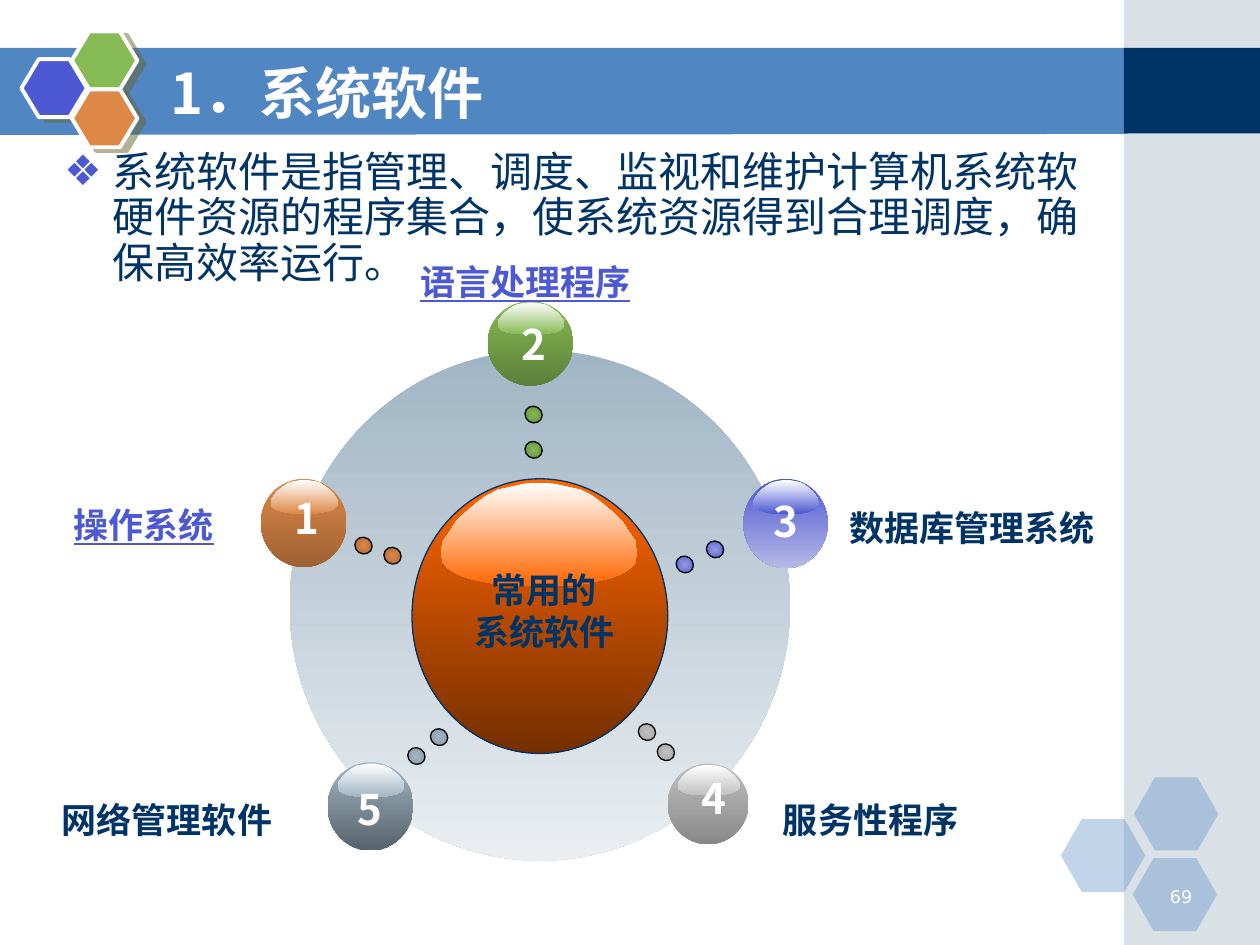
from lxml import etree
from pptx import Presentation
from pptx.dml.color import RGBColor
from pptx.enum import shapes, text
from pptx.oxml.ns import qn
from pptx.util import Inches, Pt

FONT = "Noto Sans CJK SC"
C = dict(band="5086C2", navy="003366", blue="4C59D2", green="85BA54", orange="DE8848",
         slate="A0B5C4", silver="C0C0C0", mist="EAEEF1", core="FF6600", rust="742E00",
         lilac="9599DE", olive="666633", white="FFFFFF", black="000000")

TITLE = "1．系统软件"
BODY = "系统软件是指管理、调度、监视和维护计算机系统软硬件资源的程序集合，使系统资源得到合理调度，确保高效率运行。"
CORE_LINES = ["常用的", "系统软件"]
PAGE = "69"

FADED_HEXAGONS = [(8.42, 6.5), (9, 6.17), (8.99, 6.81)]
EMBLEM = [(0.17, 0.47, "blue"), (0.57, 0.25, "green"), (0.57, 0.71, "orange")]

TOPICS = [
    dict(number="2", label="语言处理程序", label_at=(2.95, 2.02, 2.44), link=True,
         ball=(3.87, 2.39, 0.68, 0.67), number_at=(4.04, 2.48), tone="green", end="5C803A",
         dots=[(4.17, 3.22), (4.17, 3.5)], dot_tones=("85BA54", "5E843C")),
    dict(number="5", label="网络管理软件", label_at=(0.2, 6.29, 2.25), link=False,
         ball=(2.6, 6.05, 0.68, 0.7), number_at=(2.74, 6.17), tone="slate", end="57626A",
         dots=[(3.24, 5.93), (3.42, 5.78)], dot_tones=("A0B5C4", "8698A4")),
    dict(number="3", label="数据库管理系统", label_at=(6.57, 3.97, 2.29), link=False,
         ball=(5.9, 3.8, 0.67, 0.71), number_at=(6.04, 3.88), tone="blue", end="B6B8E6",
         dots=[(5.61, 4.29), (5.37, 4.41)], dot_tones=(C["lilac"], C["blue"])),
    dict(number="4", label="服务性程序", label_at=(5.97, 6.29, 1.88), link=False,
         ball=(5.3, 6.06, 0.64, 0.64), number_at=(5.47, 6.08), tone="silver", end="888888",
         dots=[(5.22, 5.9), (5.07, 5.74)], dot_tones=("C0C0C0", "A1A1A1")),
    dict(number="1", label="操作系统", label_at=(0.2, 3.95, 1.88), link=True,
         ball=(2.07, 3.8, 0.68, 0.7), number_at=(2.24, 3.86), tone="orange", end="9E6133",
         dots=[(2.82, 4.26), (3.05, 4.34)], dot_tones=("DE8848", "A26335")),
]

GLOSS_HALF = [(50, 0), (57, 1), (64, 4), (71, 7), (77, 13), (82, 20), (87, 28), (92, 37),
              (95, 46), (99, 57), (100, 68), (99, 77), (97, 82), (94, 86), (91, 89),
              (87, 92), (83, 94), (78, 96), (73, 98), (68, 99), (60, 100)]
GLOSS = GLOSS_HALF + [(100 - x, y) for x, y in GLOSS_HALF[:0:-1]]
BAND = [(0, 0), (100, 0), (100, 99), (0, 100)]

prs = Presentation()
prs.slide_width, prs.slide_height = Inches(10), Inches(7.5)
s = prs.slides.add_slide(prs.slide_layouts[1])


def rgb(hex_code):
    return RGBColor.from_string(hex_code)


def paint(sp, fill, alpha=None, line=None, width=0.75):
    sp.shadow.inherit = False
    if isinstance(fill, tuple):
        sp.fill.gradient()
        sp.fill.gradient_angle = 270
        for stop, tone in zip(sp.fill.gradient_stops, fill):
            stop.color.rgb = rgb(tone)
    else:
        sp.fill.solid()
        sp.fill.fore_color.rgb = rgb(fill)
    if alpha:
        color = sp._element.spPr.find(qn("a:solidFill"))[0]
        etree.SubElement(color, qn("a:alpha"), val=str(alpha * 1000))
    if line:
        sp.line.color.rgb = rgb(line)
        sp.line.width = Pt(width)
    else:
        sp.line.fill.background()
    return sp


def preset(kind, at, fill, **style):
    sp = s.shapes.add_shape(kind, *map(Inches, at))
    return paint(sp, fill, **style)


def outline(points, at, fill):
    left, top, width, height = map(Inches, at)
    builder = s.shapes.build_freeform(*points[0], scale=(width / 100, height / 100))
    builder.add_line_segments(points[1:], close=True)
    return paint(builder.convert_to_shape(left, top), fill)


def hexagon(at, adj, fill, **style):
    sp = preset(shapes.MSO_SHAPE.HEXAGON, at, fill, **style)
    sp.adjustments[0] = adj
    return sp


def cast_shadow(sp):
    effects = sp._element.spPr.find(qn("a:effectLst"))
    shadow = etree.SubElement(effects, qn("a:outerShdw"), blurRad="0", dist=str(Pt(4.5)),
                              dir=str(27 * 60000), algn="ctr", rotWithShape="0")
    color = etree.SubElement(shadow, qn("a:srgbClr"), val=C["olive"])
    etree.SubElement(color, qn("a:alpha"), val="50000")


def make_radial(sp):
    grad = sp._element.spPr.find(qn("a:gradFill"))
    grad.remove(grad.find(qn("a:lin")))
    path = etree.SubElement(grad, qn("a:path"), path="shape")
    etree.SubElement(path, qn("a:fillToRect"), l="50000", t="50000", r="50000", b="50000")


def write(tf, lines, size, color, bold=True, underline=None, align=text.PP_ALIGN.CENTER, name=FONT):
    tf.text = "\n".join(lines)
    for p in tf.paragraphs:
        p.alignment = align
        for r in p.runs:
            f = r.font
            f.size, f.bold, f.underline, f.name = Pt(size), bold, underline, name
            f.color.rgb = rgb(color)
            etree.SubElement(r._r.get_or_add_rPr(), qn("a:ea"), typeface=name)


def textbox(at, lines, size, color, wrap=False, **style):
    tf = s.shapes.add_textbox(*map(Inches, at)).text_frame
    write(tf, lines, size, color, **style)
    tf.word_wrap = wrap
    tf.auto_size = text.MSO_AUTO_SIZE.SHAPE_TO_FIT_TEXT


def placeholder(sp, at):
    sp.left, sp.top, sp.width, sp.height = map(Inches, at)
    s.shapes._spTree.append(sp._element)
    sp.text_frame.auto_size = text.MSO_AUTO_SIZE.NONE
    return sp.text_frame


RECT, OVAL = shapes.MSO_SHAPE.RECTANGLE, shapes.MSO_SHAPE.OVAL

outline(BAND, (-0.01, 0.38, 8.96, 0.69), C["band"])
preset(RECT, (8.92, 0, 1.08, 7.5), C["slate"], alpha=40)
preset(RECT, (8.92, 0.38, 1.08, 0.68), C["navy"])
for x, y in FADED_HEXAGONS:
    hexagon((x, y, 0.67, 0.58), 0.286, C["band"], alpha=35)
for x, y, tone in EMBLEM:
    cast_shadow(hexagon((x, y, 0.52, 0.46), 0.3, C[tone], line=C["white"], width=2.25))
textbox((9.06, 6.98, 0.5, 0.25), [PAGE], 10, C["white"], wrap=True, bold=False,
        align=text.PP_ALIGN.RIGHT, name="DejaVu Sans")

tf = placeholder(s.placeholders[1], (0.41, 1.15, 8.53, 1.31))
write(tf, [BODY], 24, C["navy"], bold=False, align=text.PP_ALIGN.LEFT)
p = tf.paragraphs[0]
p.line_spacing, p.space_before = 0.9, Pt(0)
pPr = p._p.get_or_add_pPr()
pPr.set("marL", str(Inches(0.38)))
pPr.set("indent", str(-Inches(0.38)))
etree.SubElement(etree.SubElement(pPr, qn("a:buClr")), qn("a:srgbClr"), val=C["blue"])
etree.SubElement(pPr, qn("a:buChar"), char="❖")

preset(OVAL, (2.3, 2.78, 3.97, 4.05), (C["slate"], C["mist"]))
preset(OVAL, (3.27, 3.8, 2.03, 2.18), (C["core"], C["rust"]), line=C["navy"])
outline(GLOSS, (3.5, 3.83, 1.56, 0.82), (C["white"], C["core"]))
textbox((3.66, 4.46, 1.32, 0.77), CORE_LINES, 20, C["navy"])

for topic in TOPICS:
    x, y, w, h = topic["ball"]
    tone = C[topic["tone"]]
    preset(OVAL, topic["ball"], (tone, topic["end"]))
    outline(GLOSS, (x + 0.08, y + 0.01, w - 0.15, h * 0.38), (C["white"], tone))
    textbox((*topic["number_at"], 0.37, 0.5), [topic["number"]], 24, C["white"])
    for dot_x, dot_y in topic["dots"]:
        dot = preset(OVAL, (dot_x, dot_y, 0.13, 0.14), topic["dot_tones"], line=C["black"])
        dot.rotation = 303.8
        make_radial(dot)
    link = topic["link"]
    textbox((*topic["label_at"], 0.43), [topic["label"]], 20, C["blue" if link else "navy"],
            wrap=True, underline=link or None)

tf = placeholder(s.shapes.title, (1.25, 0.42, 7.33, 0.62))
tf.vertical_anchor = text.MSO_ANCHOR.MIDDLE
write(tf, [TITLE], 32, C["white"], align=text.PP_ALIGN.LEFT)

prs.save("out.pptx")
